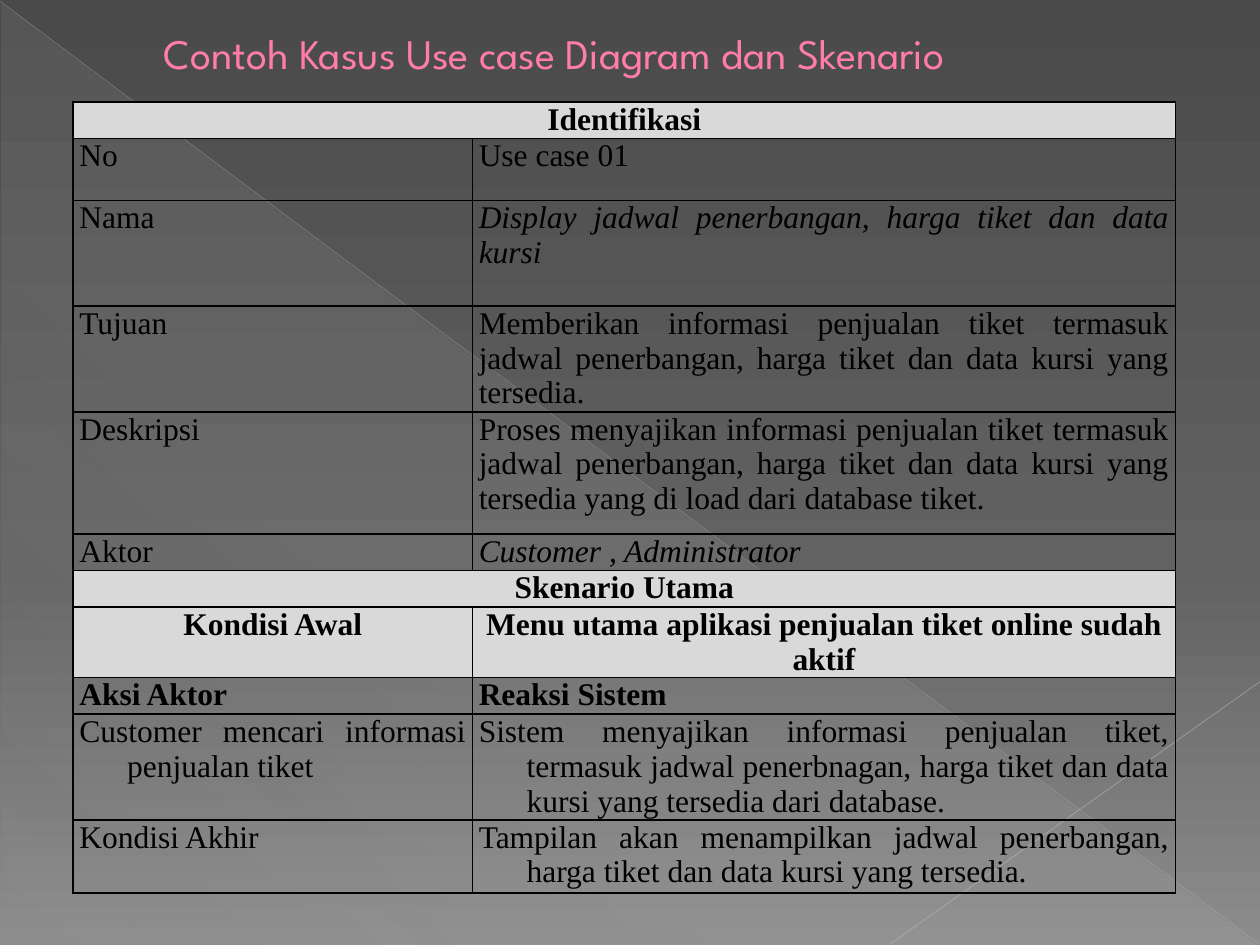
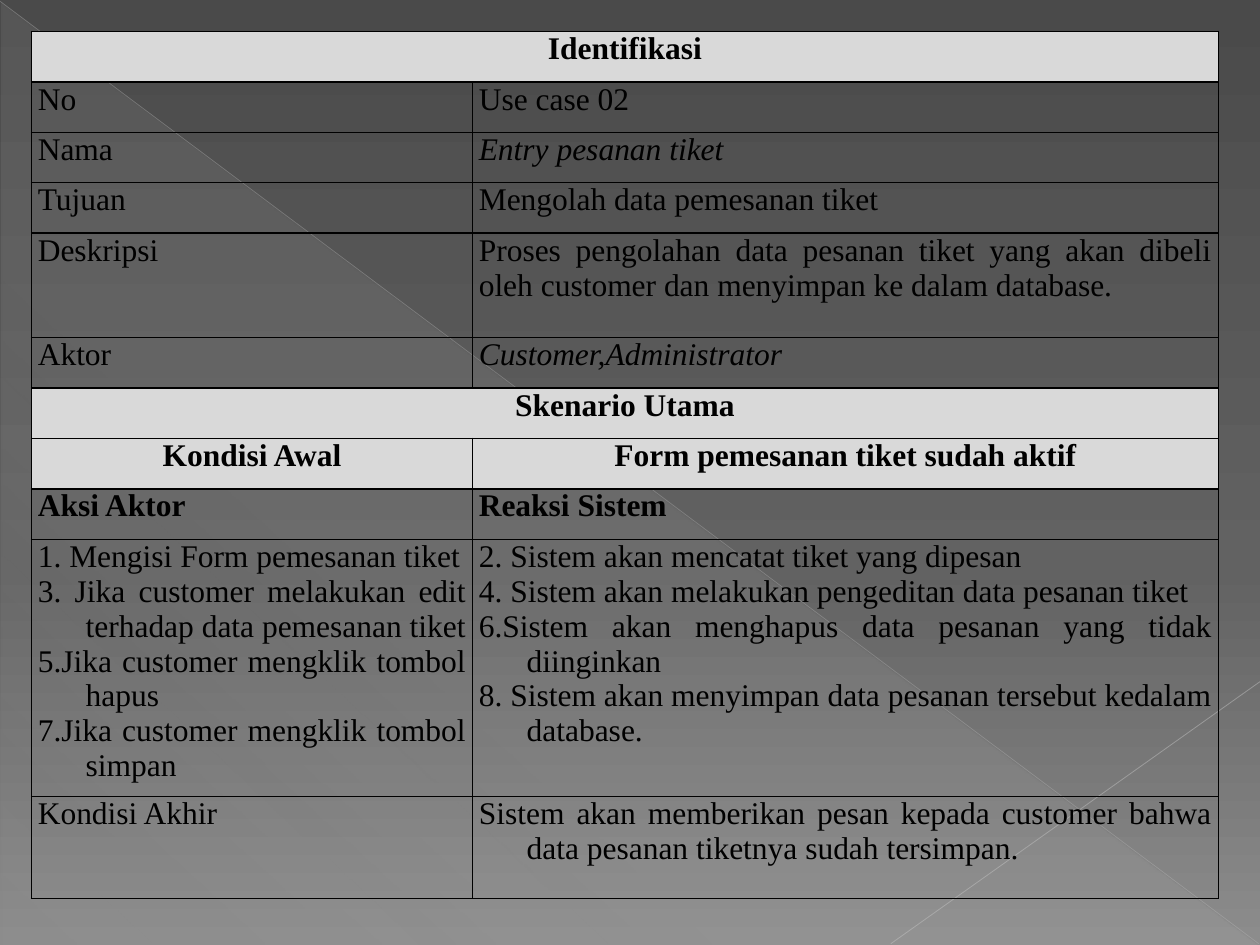
import pptx
import pptx.util
import pptx.dml.color
import pptx.enum.shapes
import pptx.enum.text
import pptx.oxml
import pptx.oxml.ns
from lxml import etree

Inches = pptx.util.Inches
Pt = pptx.util.Pt
Align = pptx.enum.text.PP_ALIGN
qn = pptx.oxml.ns.qn

COLORS = {
    "title": "FF7DA7", "title_edge": "B12761", "text": "000000", "border": "000000",
    "heading": "D9D9D9", "wedge": "D2D2D2", "long_line": "BFBFBF", "short_line": "C6C6C6",
}
BACKDROP = [(0, "4A4A4A", 100), (60, "626262", 100), (100, "8C8C8C", 100)]
WEDGE = [(0, COLORS["wedge"], 10), (70, COLORS["wedge"], 8), (100, COLORS["wedge"], 1)]
DIAGONALS = [
    ((0, 0.01), (9.99, 7.49), COLORS["long_line"], 0.39, 35),
    ((10, 5.41), (7.07, 7.49), COLORS["short_line"], 0.47, 45),
]

ROWS = [
    ("Identifikasi", "banner"), ("No", "plain"), ("Nama", "italic"), ("Tujuan", "plain"),
    ("Deskripsi", "plain"), ("Aktor", "italic"), ("Skenario Utama", "banner"),
    ("Kondisi Awal", "heading"), ("Aksi Aktor", "bold"), (None, "hanging"),
    ("Kondisi Akhir", "hanging"),
]

USE_CASES = [
    {
        "title": "Contoh Kasus Use case Diagram dan Skenario",
        "at": (0.58, 0.81),
        "columns": (3.17, 5.58),
        "heights": (0.29, 0.49, 0.84, 0.84, 0.97, 0.29, 0.29, 0.56, 0.29, 0.84, 0.58),
        "actions": ["Customer mencari informasi penjualan tiket"],
        "values": [
            None,
            "Use case 01",
            "Display jadwal penerbangan, harga tiket dan data kursi",
            "Memberikan informasi penjualan tiket termasuk jadwal penerbangan, "
            "harga tiket dan data kursi yang tersedia.",
            "Proses menyajikan informasi penjualan tiket termasuk jadwal penerbangan, "
            "harga tiket dan data kursi yang tersedia yang di load dari database tiket.",
            "Customer , Administrator",
            None,
            "Menu utama aplikasi penjualan tiket online sudah aktif",
            "Reaksi Sistem",
            "Sistem menyajikan informasi penjualan tiket, termasuk jadwal penerbnagan, "
            "harga tiket dan data kursi yang tersedia dari database.",
            "Tampilan akan menampilkan jadwal penerbangan, harga tiket dan data kursi "
            "yang tersedia.",
        ],
    },
    {
        "title": None,
        "at": (0.25, 0.25),
        "columns": (3.5, 5.92),
        "heights": (0.4, 0.4, 0.4, 0.4, 0.83, 0.4, 0.4, 0.4, 0.4, 2.04, 0.81),
        "actions": [
            "1. Mengisi Form pemesanan tiket",
            "3. Jika customer melakukan edit terhadap data pemesanan tiket",
            "5.Jika customer mengklik tombol hapus",
            "7.Jika customer mengklik tombol simpan",
        ],
        "values": [
            None,
            "Use case 02",
            "Entry pesanan tiket",
            "Mengolah data pemesanan tiket",
            "Proses pengolahan data pesanan tiket yang akan dibeli oleh customer dan "
            "menyimpan ke dalam database.",
            "Customer,Administrator",
            None,
            "Form pemesanan tiket sudah aktif",
            "Reaksi Sistem",
            [
                "2. Sistem akan mencatat tiket yang dipesan",
                "4. Sistem akan melakukan pengeditan data pesanan tiket",
                "6.Sistem akan menghapus data pesanan yang tidak diinginkan",
                "8. Sistem akan menyimpan data pesanan tersebut kedalam database.",
            ],
            "Sistem akan memberikan pesan kepada customer bahwa data pesanan tiketnya "
            "sudah tersimpan.",
        ],
    },
]


def rgb(color):
    return pptx.dml.color.RGBColor.from_string(color)


def add_color(parent, color, opacity=100):
    swatch = etree.SubElement(parent, qn("a:srgbClr"), val=color)
    if opacity < 100:
        etree.SubElement(swatch, qn("a:alpha"), val=str(opacity * 1000))


def set_gradient(fill, owner, stops, angle):
    fill.gradient()
    gradient = owner.xpath(".//a:gradFill")[0]
    for child in list(gradient):
        gradient.remove(child)
    stop_list = etree.SubElement(gradient, qn("a:gsLst"))
    for position, color, opacity in stops:
        stop = etree.SubElement(stop_list, qn("a:gs"), pos=str(position * 1000))
        add_color(stop, color, opacity)
    etree.SubElement(gradient, qn("a:lin"), ang=str(angle * 60000), scaled="0")


def decorate_master(master, slide):
    set_gradient(master.background.fill, master.element.cSld.find(qn("p:bg")), BACKDROP, 90)
    wedge = slide.shapes.add_shape(
        pptx.enum.shapes.MSO_SHAPE.RIGHT_TRIANGLE,
        Inches(0.01), Inches(0.02), Inches(9.98), Inches(7.48))
    wedge.shadow.inherit = False
    wedge.line.fill.background()
    set_gradient(wedge.fill, wedge.element.spPr, WEDGE, 133)
    decorations = [wedge]
    for start, end, color, width, opacity in DIAGONALS:
        diagonal = slide.shapes.add_connector(
            pptx.enum.shapes.MSO_CONNECTOR.STRAIGHT, *map(Inches, start + end))
        diagonal.line.width = Pt(width)
        diagonal.line.color.rgb = rgb(color)
        swatch = diagonal.element.xpath(".//a:ln//a:srgbClr")[0]
        etree.SubElement(swatch, qn("a:alpha"), val=str(opacity * 1000))
        etree.SubElement(diagonal.element.spPr, qn("a:effectLst"))
        decorations.append(diagonal)
    for number, decoration in enumerate(decorations, 101):
        decoration.element.xpath(".//p:cNvPr")[0].set("id", str(number))
        master.element.cSld.spTree.append(decoration.element)


def set_title(slide, text):
    title = slide.shapes.title
    title.left, title.top, title.width, title.height = map(Inches, (0.67, 0.17, 8.58, 0.5))
    title.text_frame.text = text
    title.text_frame.vertical_anchor = pptx.enum.text.MSO_ANCHOR.MIDDLE
    paragraph = title.text_frame.paragraphs[0]
    paragraph.alignment = Align.LEFT
    paragraph._p.get_or_add_pPr().set("marL", str(Inches(0.53)))
    font = paragraph.font
    font.name, font.size, font.color.rgb = "League Spartan", Pt(24), rgb(COLORS["title"])
    edge = etree.Element(qn("a:ln"), w=str(Pt(0.5)))
    add_color(etree.SubElement(edge, qn("a:solidFill")), COLORS["title_edge"])
    paragraph.runs[0]._r.get_or_add_rPr().insert(0, edge)


def set_borders(cell):
    properties = cell._tc.get_or_add_tcPr()
    for place, side in enumerate(("a:lnL", "a:lnR", "a:lnT", "a:lnB")):
        border = etree.Element(qn(side), w=str(Pt(1)))
        add_color(etree.SubElement(border, qn("a:solidFill")), COLORS["border"])
        properties.insert(place, border)


def fill_cell(cell, content, style, is_value):
    shaded = style in ("banner", "heading")
    cell.margin_left = cell.margin_right = Inches(0.05)
    cell.margin_top = cell.margin_bottom = 0
    if shaded:
        cell.fill.solid()
        cell.fill.fore_color.rgb = rgb(COLORS["heading"])
    else:
        cell.fill.background()
    set_borders(cell)
    lines = content if isinstance(content, list) else [content or ""]
    cell.text_frame.text = "\n".join(lines)
    for paragraph in cell.text_frame.paragraphs:
        paragraph.alignment = Align.CENTER if shaded else Align.JUSTIFY
        font = paragraph.font
        font.name, font.size, font.color.rgb = "Times New Roman", Pt(18), rgb(COLORS["text"])
        font.bold = shaded or style == "bold"
        font.italic = style == "italic" and is_value
        if style == "hanging":
            indent = paragraph._p.get_or_add_pPr()
            indent.set("marL", str(Inches(0.38)))
            indent.set("indent", str(-Inches(0.38)))


def add_scenario(slide, case):
    columns, heights = case["columns"], case["heights"]
    scenario = slide.shapes.add_table(
        len(ROWS), 2, *map(Inches, case["at"] + (sum(columns), sum(heights)))).table
    scenario.first_row = scenario.horz_banding = False
    for column, width in zip(scenario.columns, columns):
        column.width = Inches(width)
    for index, ((label, style), value) in enumerate(zip(ROWS, case["values"])):
        scenario.rows[index].height = Inches(heights[index])
        left, right = scenario.cell(index, 0), scenario.cell(index, 1)
        fill_cell(left, label or case["actions"], style, False)
        fill_cell(right, value, style, True)
        if style == "banner":
            left.merge(right)


deck = pptx.Presentation()
deck.slide_width, deck.slide_height = Inches(10), Inches(7.5)
TITLE_ONLY, BLANK = deck.slide_layouts[5], deck.slide_layouts[6]
for case in USE_CASES:
    slide = deck.slides.add_slide(TITLE_ONLY if case["title"] else BLANK)
    if case["title"]:
        set_title(slide, case["title"])
    add_scenario(slide, case)
decorate_master(deck.slide_master, deck.slides[0])
deck.save("out.pptx")
